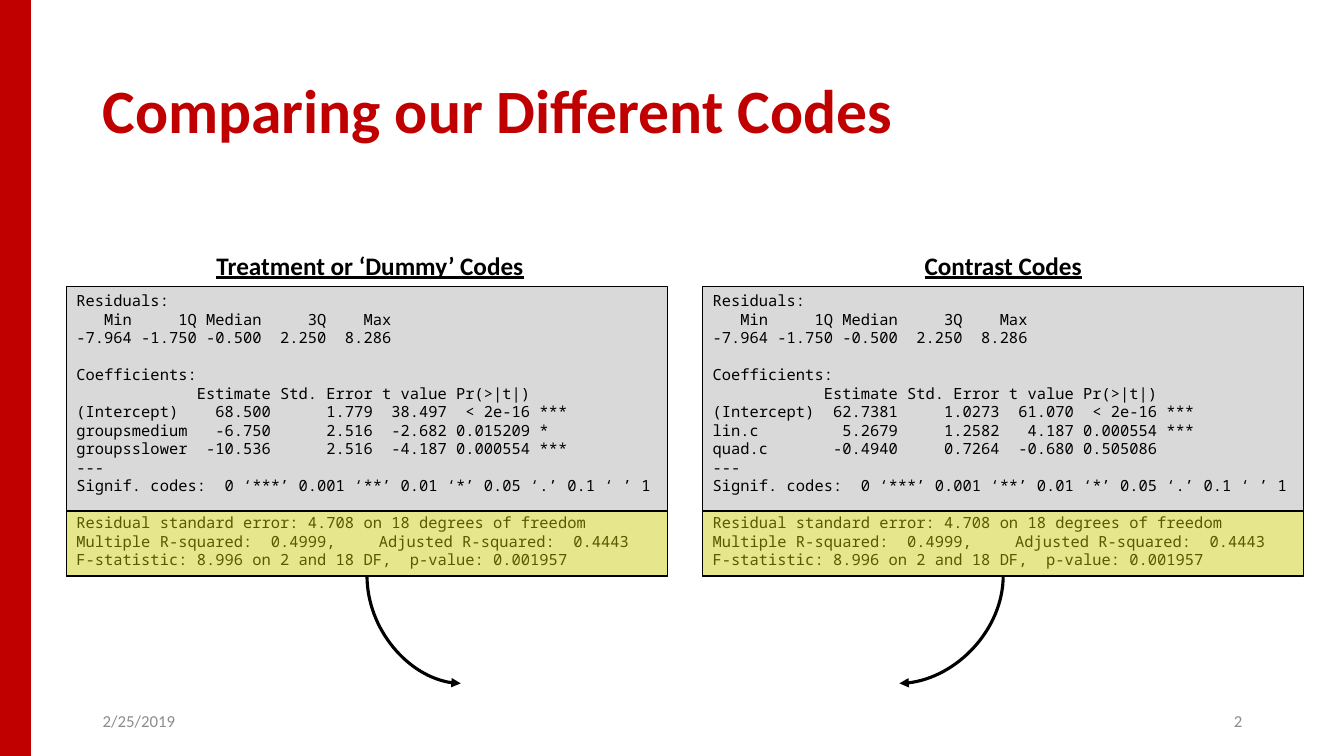
"""Build a slide comparing regression output under two coding schemes."""
from lxml import etree
from pptx import Presentation
from pptx.dml.color import RGBColor
from pptx.enum.shapes import MSO_CONNECTOR, MSO_SHAPE
from pptx.enum.text import MSO_ANCHOR, PP_ALIGN
from pptx.oxml.ns import qn
from pptx.util import Inches, Pt

RECTANGLE = MSO_SHAPE.RECTANGLE
CURVE = MSO_CONNECTOR.CURVE
TOP, MIDDLE = MSO_ANCHOR.TOP, MSO_ANCHOR.MIDDLE
LEFT, CENTER, RIGHT = PP_ALIGN.LEFT, PP_ALIGN.CENTER, PP_ALIGN.RIGHT

RED, BLACK, GRAY = "C00000", "000000", "8C8C8C"
PANEL_FILL, HIGHLIGHT_FILL = "D9D9D9", "FFFF00"
SANS, MONO = "Calibri", "Noto Sans Mono"

TITLE = "Comparing our Different Codes"
DATE, SLIDE_NUMBER = "2/25/2019", "2"
RESIDUALS = [
    "Residuals:",
    "   Min     1Q Median     3Q    Max",
    "-7.964 -1.750 -0.500  2.250  8.286",
]
SIGNIFICANCE = [
    "---",
    "Signif. codes:  0 ‘***’ 0.001 ‘**’ 0.01 ‘*’ 0.05 ‘.’ 0.1 ‘ ’ 1",
]
MODEL_FIT = [
    "Residual standard error: 4.708 on 18 degrees of freedom",
    "Multiple R-squared:  0.4999,\tAdjusted R-squared:  0.4443",
    "F-statistic: 8.996 on 2 and 18 DF,  p-value: 0.001957",
]
PANELS = [
    {
        "heading": "Treatment or ‘Dummy’ Codes",
        "left": 0.66, "heading_center": 3.67, "arrow_end": 4.57,
        "coefficients": [
            "Coefficients:",
            "             Estimate Std. Error t value Pr(>|t|)",
            "(Intercept)    68.500      1.779  38.497  < 2e-16 ***",
            "groupsmedium   -6.750      2.516  -2.682 0.015209 *",
            "groupsslower  -10.536      2.516  -4.187 0.000554 ***",
        ],
    },
    {
        "heading": "Contrast Codes",
        "left": 6.97, "heading_center": 9.95, "arrow_end": 8.92,
        "coefficients": [
            "Coefficients:",
            "            Estimate Std. Error t value Pr(>|t|)",
            "(Intercept)  62.7381     1.0273  61.070  < 2e-16 ***",
            "lin.c         5.2679     1.2582   4.187 0.000554 ***",
            "quad.c       -0.4940     0.7264  -0.680 0.505086",
        ],
    },
]
PANEL_TOP, PANEL_WIDTH, PANEL_HEIGHT = 2.84, 5.96, 2.88
HIGHLIGHT_TOP, HIGHLIGHT_HEIGHT = 5.07, 0.64
ARROW_TOP, ARROW_BOTTOM = 5.71, 6.78
HEADING_TOP, HEADING_WIDTH, HEADING_HEIGHT = 2.43, 4, 0.4
LINE_PITCH = 13.2


def color(value):
    return RGBColor.from_string(value)


def add_rectangle(slide, box, fill, line, line_width, opacity=None):
    shape = slide.shapes.add_shape(RECTANGLE, *map(Inches, box))
    shape.shadow.inherit = False
    shape.fill.solid()
    shape.fill.fore_color.rgb = color(fill)
    shape.line.color.rgb = color(line)
    shape.line.width = Pt(line_width)
    if opacity is not None:
        fill_color = shape._element.spPr.find(qn("a:solidFill"))[0]
        alpha = etree.SubElement(fill_color, qn("a:alpha"))
        alpha.set("val", str(opacity * 1000))
    return shape


def style_font(font, name, size, value, bold=False, underline=False):
    font.name = name
    font.size = Pt(size)
    font.color.rgb = color(value)
    font.bold = bold
    font.underline = underline


def add_label(slide, box, text, size, value, align=LEFT, anchor=MIDDLE,
              bold=False, underline=False):
    label = slide.shapes.add_textbox(*map(Inches, box))
    frame = label.text_frame
    frame.word_wrap = True
    frame.vertical_anchor = anchor
    frame.text = text
    paragraph = frame.paragraphs[0]
    paragraph.alignment = align
    style_font(paragraph.runs[0].font, SANS, size, value, bold, underline)
    return paragraph


def write_output(shape, sections):
    frame = shape.text_frame
    frame.word_wrap = True
    frame.vertical_anchor = TOP
    frame.text = "\n".join(line for section in sections for line in section)
    section_starts = {section[0] for section in sections[1:]}
    for paragraph in frame.paragraphs:
        paragraph.alignment = LEFT
        paragraph.line_spacing = Pt(LINE_PITCH)
        if paragraph.text in section_starts:
            paragraph.space_before = Pt(LINE_PITCH)
        for run in paragraph.runs:
            style_font(run.font, MONO, 11, BLACK)


def add_curved_arrow(slide, start_x, end_x):
    """Draw a quarter curve that leaves downwards and arrives sideways."""
    drop, reach = ARROW_BOTTOM - ARROW_TOP, abs(end_x - start_x)
    left = (start_x + end_x - drop) / 2
    top = (ARROW_TOP + ARROW_BOTTOM - reach) / 2
    arrow = slide.shapes.add_connector(
        CURVE, *map(Inches, (left, top, left + drop, top + reach)))
    arrow.line.color.rgb = color(BLACK)
    arrow.line.width = Pt(2.25)
    properties = arrow._element.spPr
    properties.find(qn("a:prstGeom")).set("prst", "curvedConnector2")
    transform = properties.find(qn("a:xfrm"))
    if end_x > start_x:
        transform.set("rot", "16200000")
        transform.set("flipH", "1")
    else:
        transform.set("rot", "5400000")
    line = properties.find(qn("a:ln"))
    etree.SubElement(line, qn("a:tailEnd")).set("type", "triangle")
    etree.SubElement(properties, qn("a:effectLst"))


def add_panel(slide, panel):
    left = panel["left"]
    output = add_rectangle(
        slide, (left, PANEL_TOP, PANEL_WIDTH, PANEL_HEIGHT),
        PANEL_FILL, BLACK, 0.75)
    write_output(
        output, [RESIDUALS, panel["coefficients"] + SIGNIFICANCE, MODEL_FIT])
    heading_left = panel["heading_center"] - HEADING_WIDTH / 2
    add_label(slide, (heading_left, HEADING_TOP, HEADING_WIDTH, HEADING_HEIGHT),
              panel["heading"], 18, BLACK, CENTER, TOP, True, True)
    add_curved_arrow(slide, left + PANEL_WIDTH / 2, panel["arrow_end"])
    add_rectangle(slide, (left, HIGHLIGHT_TOP, PANEL_WIDTH, HIGHLIGHT_HEIGHT),
                  HIGHLIGHT_FILL, BLACK, 1, 35)


def main():
    presentation = Presentation()
    presentation.slide_width = Inches(13.33)
    presentation.slide_height = Inches(7.5)
    slide = presentation.slides.add_slide(presentation.slide_layouts[6])
    add_rectangle(slide, (0, 0, 0.3, 7.5), RED, RED, 1)
    title = add_label(slide, (0.92, 0.4, 11.5, 1.45), TITLE, 44, RED, bold=True)
    title.line_spacing = 0.9
    add_label(slide, (0.92, 6.95, 3, 0.4), DATE, 12, GRAY)
    add_label(slide, (9.42, 6.95, 3, 0.4), SLIDE_NUMBER, 12, GRAY, RIGHT)
    for panel in PANELS:
        add_panel(slide, panel)
    presentation.save("out.pptx")


if __name__ == "__main__":
    main()
